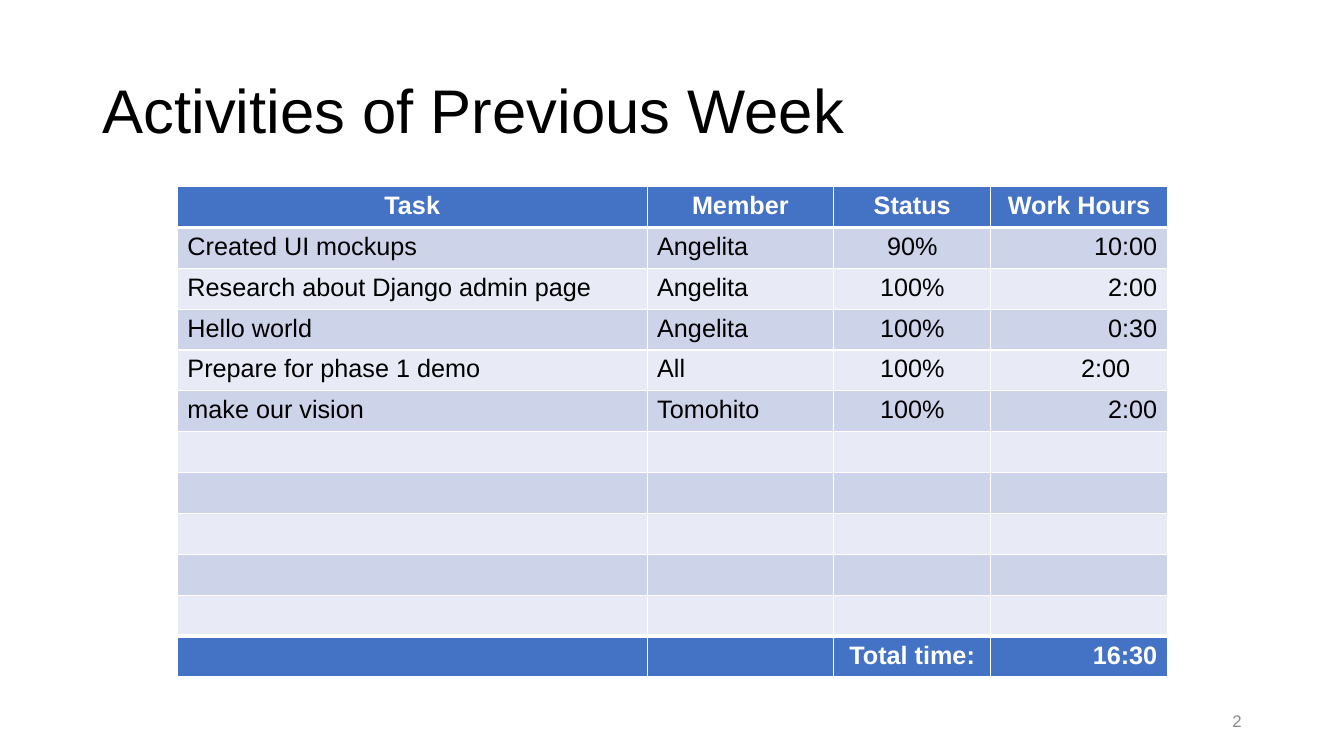
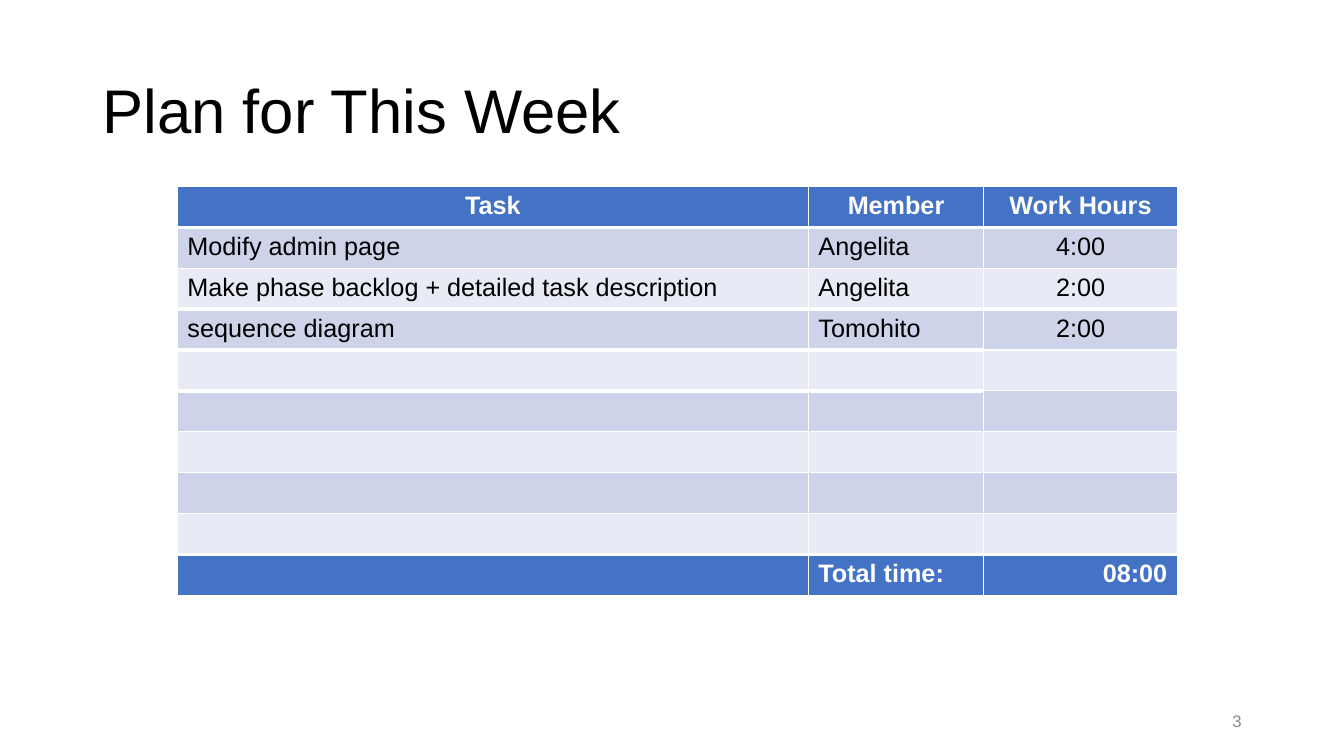
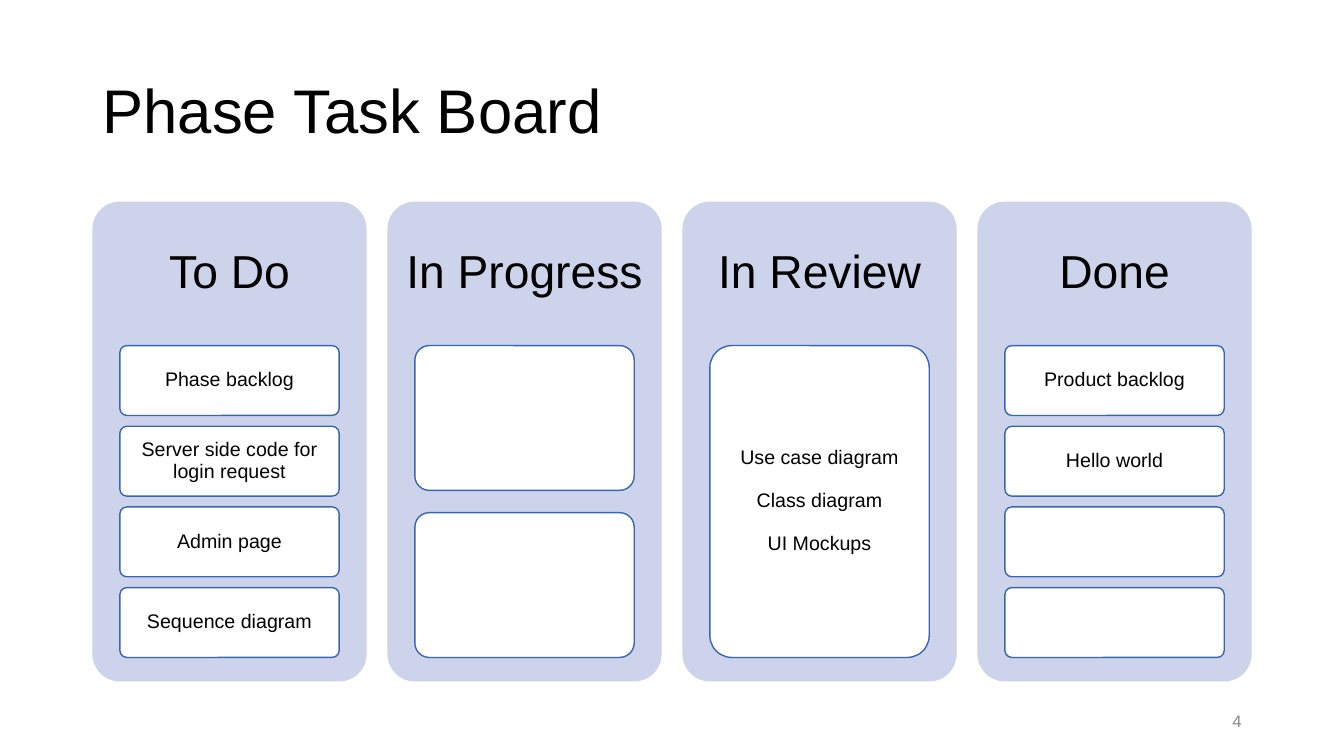
import pptx
import pptx.dml.color
import pptx.enum.shapes
import pptx.enum.text
import pptx.oxml.ns
import pptx.util
from lxml import etree

RGBColor = pptx.dml.color.RGBColor
BLACK = RGBColor(0x00, 0x00, 0x00)
WHITE = RGBColor(0xFF, 0xFF, 0xFF)
GREY = RGBColor(0x88, 0x88, 0x88)
BLUE = RGBColor(0x44, 0x72, 0xC4)
CARD_LINE = RGBColor(0x3A, 0x66, 0xB1)
LANE = RGBColor(0xCC, 0xD3, 0xEA)
BANDS = (RGBColor(0xCD, 0xD4, 0xEA), RGBColor(0xE8, 0xEB, 0xF5))

LEFT = pptx.enum.text.PP_ALIGN.LEFT
CENTER = pptx.enum.text.PP_ALIGN.CENTER
RIGHT = pptx.enum.text.PP_ALIGN.RIGHT
MIDDLE = pptx.enum.text.MSO_ANCHOR.MIDDLE
ROUNDED = pptx.enum.shapes.MSO_SHAPE.ROUNDED_RECTANGLE


class Deck:
    """Builds slides in one style, with lengths in percent of the slide's width and height."""

    font = "Arial"
    margin = 6.88
    content_width = 86.25
    table_left, table_top, row_height = 13.2, 24.67, 5.41
    board_top, board_height = 26.67, 63.47
    lane_width = 20.4
    card_gap = 0.154

    def __init__(self):
        self.presentation = pptx.Presentation()
        self.presentation.slide_width = pptx.util.Inches(13.33)
        self.presentation.slide_height = pptx.util.Inches(7.5)
        self.slide = None

    def x(self, share):
        return round(self.presentation.slide_width * share / 100)

    def y(self, share):
        return round(self.presentation.slide_height * share / 100)

    def area(self, left, top, width, height):
        return self.x(left), self.y(top), self.x(width), self.y(height)

    def add_lines(self, frame, lines, size, color=BLACK, align=LEFT, bold=False, spacing=None, gap=0):
        frame.word_wrap = True
        for index, line in enumerate(lines):
            paragraph = frame.add_paragraph() if index else frame.paragraphs[0]
            paragraph.alignment = align
            if spacing:
                paragraph.line_spacing = spacing
            if index and gap:
                paragraph.space_before = pptx.util.Pt(gap)
            run = paragraph.add_run()
            run.text = line
            run.font.name = self.font
            run.font.size = pptx.util.Pt(size)
            run.font.bold = bold
            run.font.color.rgb = color

    def text(self, area, line, size, color=BLACK, align=LEFT, spacing=None):
        box = self.slide.shapes.add_textbox(*area)
        box.text_frame.vertical_anchor = MIDDLE
        self.add_lines(box.text_frame, [line], size, color, align, spacing=spacing)
        return box

    def start(self, title, number):
        layout = self.presentation.slide_layouts[5]
        self.slide = self.presentation.slides.add_slide(layout)
        shape = self.slide.shapes.title
        shape.left, shape.top, shape.width, shape.height = self.area(
            self.margin, 5.33, self.content_width, 19.33)
        frame = shape.text_frame
        frame.auto_size = pptx.enum.text.MSO_AUTO_SIZE.NONE
        frame.vertical_anchor = MIDDLE
        self.add_lines(frame, [title], 44, spacing=0.9)
        self.text(self.area(70.63, 92.67, 22.5, 5.33), str(number), 12, GREY, RIGHT)

    def border(self, cell, side, points):
        properties = cell._tc.get_or_add_tcPr()
        line = etree.SubElement(properties, pptx.oxml.ns.qn("a:ln" + side))
        line.set("w", str(pptx.util.Pt(points)))
        fill = etree.SubElement(line, pptx.oxml.ns.qn("a:solidFill"))
        etree.SubElement(fill, pptx.oxml.ns.qn("a:srgbClr")).set("val", str(WHITE))

    def table(self, widths, aligns, header, tasks, blank_rows, total, total_aligns, thick=None):
        columns = len(widths)
        rows = [header, *tasks, *[[""] * columns] * blank_rows, total]
        last = len(rows) - 1
        thick = {1: columns, last: columns, **(thick or {})}
        table = self.slide.shapes.add_table(len(rows), columns, *self.area(
            self.table_left, self.table_top, sum(widths), self.row_height * len(rows))).table
        table.first_row = table.horz_banding = False
        for column, width in zip(table.columns, widths):
            column.width = self.x(width)
        row_aligns = {0: [CENTER] * columns, last: total_aligns}
        for row, values in enumerate(rows):
            table.rows[row].height = self.y(self.row_height)
            strong = row in row_aligns
            for column, value in enumerate(values):
                cell = table.cell(row, column)
                edges = {"T": row, "B": row + 1}
                for side in "LRTB":
                    heavy = side in edges and column < thick.get(edges[side], 0)
                    self.border(cell, side, 3 if heavy else 1)
                cell.fill.solid()
                cell.fill.fore_color.rgb = BLUE if strong else BANDS[(row - 1) % 2]
                if value:
                    align = row_aligns.get(row, aligns)[column]
                    self.add_lines(cell.text_frame, [value], 18, WHITE if strong else BLACK, align, strong)
        return table

    def rounded(self, area, fill, line=None):
        shape = self.slide.shapes.add_shape(ROUNDED, *area)
        shape.shadow.inherit = False
        shape.adjustments[0] = 0.1
        shape.fill.solid()
        shape.fill.fore_color.rgb = fill
        if line is None:
            shape.line.fill.background()
        else:
            shape.line.color.rgb = line
            shape.line.width = pptx.util.Pt(1)
        return shape

    def card(self, area, lines):
        frame = self.rounded(area, WHITE, CARD_LINE).text_frame
        frame.vertical_anchor = MIDDLE
        frame.margin_left = frame.margin_right = pptx.util.Inches(0.04)
        frame.margin_top = frame.margin_bottom = pptx.util.Inches(0.03)
        self.add_lines(frame, lines, 14, align=CENTER, spacing=0.9, gap=15.5)

    def lane(self, left, heading, cards):
        top, width, height = self.board_top, self.lane_width, self.board_height
        self.rounded(self.area(left, top, width, height), LANE)
        box = self.text(self.area(left, top, width, height * 0.3), heading, 33, align=CENTER, spacing=0.9)
        frame = box.text_frame
        frame.margin_left = frame.margin_right = pptx.util.Inches(0.14)
        frame.margin_top = frame.margin_bottom = pptx.util.Inches(0.14)
        card_height = height * 0.65 / (len(cards) + self.card_gap * (len(cards) - 1))
        for index, lines in enumerate(cards):
            card_top = top + height * 0.3 + index * card_height * (1 + self.card_gap)
            self.card(self.area(left + width * 0.1, card_top, width * 0.8, card_height), lines)

    def board(self, lanes):
        pitch = (self.content_width - self.lane_width) / (len(lanes) - 1)
        for index, (heading, cards) in enumerate(lanes):
            self.lane(self.margin + index * pitch, heading, cards)


def main():
    deck = Deck()

    deck.start("Activities of Previous Week", 2)
    activity_aligns = [LEFT, LEFT, CENTER, RIGHT]
    activities = deck.table(
        [34.95, 13.88, 11.7, 13.13], activity_aligns,
        ["Task", "Member", "Status", "Work Hours"],
        [["Created UI mockups", "Angelita", "90%", "10:00"],
         ["Research about Django admin page", "Angelita", "100%", "2:00"],
         ["Hello world", "Angelita", "100%", "0:30"],
         ["Prepare for phase 1 demo", "All", "100%", "2:00"],
         ["make our vision", "Tomohito", "100%", "2:00"]],
        5, ["", "", "Total time:", "16:30"], activity_aligns)
    activities.cell(4, 3).margin_right = pptx.util.Inches(0.37)

    deck.start("Plan for This Week", 3)
    deck.table(
        [46.95, 13.05, 14.4], [LEFT, LEFT, CENTER],
        ["Task", "Member", "Work Hours"],
        [["Modify admin page", "Angelita", "4:00"],
         ["Make phase backlog + detailed task description", "Angelita", "2:00"],
         ["sequence diagram", "Tomohito", "2:00"]],
        5, ["", "Total time:", "08:00"], [LEFT, LEFT, RIGHT], {3: 3, 4: 2, 5: 2})

    deck.start("Phase Task Board", 4)
    deck.board([
        ("To Do", [["Phase backlog"], ["Server side code for login request"],
                   ["Admin page"], ["Sequence diagram"]]),
        ("In Progress", [[], []]),
        ("In Review", [["Use case diagram", "Class diagram", "UI Mockups"]]),
        ("Done", [["Product backlog"], ["Hello world"], [], []]),
    ])

    deck.presentation.save("out.pptx")


if __name__ == "__main__":
    main()
